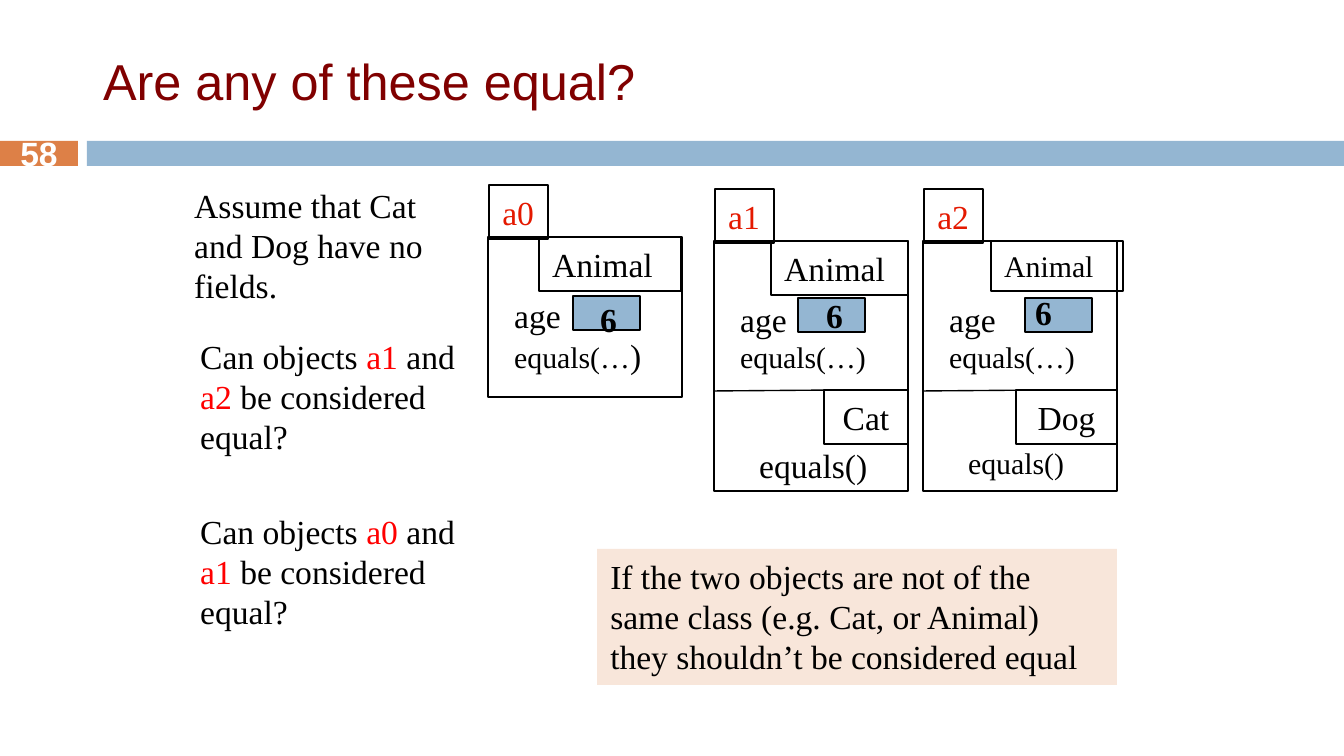
from dataclasses import dataclass

from lxml.etree import SubElement
from pptx import Presentation
from pptx.dml.color import RGBColor
from pptx.enum.shapes import MSO_CONNECTOR as Line, MSO_SHAPE as Shape
from pptx.enum.text import MSO_ANCHOR as Anchor, MSO_AUTO_SIZE as Fit, PP_ALIGN as Align
from pptx.oxml.ns import qn
from pptx.util import Pt

EMU_PER_PX = 914400 / 134.4
WIDTH, HEIGHT = 1344, 756


@dataclass(frozen=True)
class Theme:
    heading: str = "Arial"
    body: str = "Times New Roman"
    title: str = "800000"
    ink: str = "000000"
    paper: str = "FFFFFF"
    variable: str = "E41900"
    highlight: str = "FF0000"
    orange: str = "DD8047"
    blue: str = "94B6D2"
    peach: str = "F8E6DA"
    title_size: int = 27
    text_size: int = 18
    small_size: int = 16
    line: float = 0.75


T = Theme()

TITLE = "Are any of these equal?"
PAGE = "58"
ASSUMPTION = "Assume that Cat and Dog have no fields."
QUESTIONS = [  # left, top, compared variables
    (187, 329, ("a1", "a2")),
    (187, 504, ("a0", "a1")),
]
ANSWER = ("If the two objects are not of the same class (e.g. Cat, or Animal) "
          "they shouldn’t be considered equal")

# at: frame corner; class_box: width, height; field: age box offset;
# value: offset of the 6; subclass: name, width, size of its method
OBJECTS = [
    dict(name="a2", at=(923, 241), height=250, class_box=(132, 50), class_left=68,
         class_size=T.small_size, field=(102, 57), value=(99, 44), close_size=T.small_size,
         subclass=("Dog", 101, T.small_size)),
    dict(name="a1", at=(714, 241), height=250, class_box=(137, 54), class_left=57,
         class_size=T.text_size, field=(84, 57), value=(99, 47), close_size=T.small_size,
         subclass=("Cat", 84, T.text_size)),
    dict(name="a0", at=(488, 237), height=160, class_box=(142, 54), class_left=51,
         class_size=T.text_size, field=(85, 59), value=(99, 55), close_size=T.text_size,
         subclass=None),
]
FRAME_WIDTH = 194
SUBCLASS_TOP = 149


def px(*lengths):
    return [round(length * EMU_PER_PX) for length in lengths]


def rgb(color):
    return RGBColor.from_string(color)


def run(text, color=T.ink, size=T.text_size, font=T.body, bold=False):
    return text, color, size, font, bold


def write(frame, *paragraphs, align=Align.LEFT, anchor=Anchor.TOP, fit=Fit.SHAPE_TO_FIT_TEXT):
    """Fill a text frame; each paragraph is a list of runs."""
    frame.word_wrap = True
    frame.auto_size = fit
    frame.vertical_anchor = anchor
    for index, runs in enumerate(paragraphs):
        paragraph = frame.add_paragraph() if index else frame.paragraphs[0]
        paragraph.alignment = align
        for text, color, size, font, bold in runs:
            piece = paragraph.add_run()
            piece.text = text
            piece.font.name, piece.font.size, piece.font.bold = font, Pt(size), bold
            piece.font.color.rgb = rgb(color)


def add_box(shapes, left, top, width, height, fill=None, outlined=True):
    box = shapes.add_shape(Shape.RECTANGLE, *px(left, top, width, height))
    box.shadow.inherit = False
    if fill:
        box.fill.solid()
        box.fill.fore_color.rgb = rgb(fill)
    else:
        box.fill.background()
    if outlined:
        box.line.color.rgb = rgb(T.ink)
        box.line.width = Pt(T.line)
    else:
        box.line.fill.background()
    return box


def add_text(shapes, left, top, width, height, *paragraphs, **layout):
    box = shapes.add_textbox(*px(left, top, width, height))
    write(box.text_frame, *paragraphs, **layout)


def add_divider(shapes, left, top):
    divider = shapes.add_connector(Line.STRAIGHT, *px(left, top + 1, left + 126, top))
    divider.line.color.rgb = rgb(T.ink)
    divider.line.width = Pt(T.line)
    SubElement(divider.line._get_or_add_ln().getparent(), qn("a:effectLst"))


def add_object(slide, item):
    """Draw one object: variable tag, Animal part and optional subclass part."""
    shapes = slide.shapes.add_group_shape().shapes
    left, top = item["at"]
    add_box(shapes, left, top, FRAME_WIDTH, item["height"])

    tag = add_box(shapes, left + 1, top - 52, 59, 54)
    write(tag.text_frame, [run(item["name"], T.variable)])
    animal = add_box(shapes, left + item["class_left"], top, *item["class_box"])
    write(animal.text_frame, [run("Animal", size=item["class_size"])])

    if item["subclass"]:
        name, width, method_size = item["subclass"]
        subclass = add_box(shapes, left + FRAME_WIDTH - width, top + SUBCLASS_TOP, width, 54)
        write(subclass.text_frame, [run(name)], align=Align.CENTER)
        add_divider(shapes, left, top + SUBCLASS_TOP)
        add_text(shapes, left + 32, top + 197, 156, 50, [run("equals()", size=method_size)])

    add_text(shapes, left + 13, top + 51, 168, 90, [run("age")],
             [run("equals(…", size=T.small_size), run(")", size=item["close_size"])])
    field_x, field_y = item["field"]
    add_box(shapes, left + field_x, top + field_y, 67, 34, T.blue)
    value_x, value_y = item["value"]
    add_text(shapes, left + value_x, top + value_y, 34, 54, [run("6", bold=True)])


def main():
    deck = Presentation()
    deck.slide_width, deck.slide_height = px(WIDTH, HEIGHT)
    slide = deck.slides.add_slide(deck.slide_layouts[5])
    shapes = slide.shapes

    title = shapes.title
    title.left, title.top, title.width, title.height = px(90, 26, 1199, 109)
    heading = title.text_frame
    heading.margin_left, heading.margin_top, heading.margin_right, heading.margin_bottom = px(
        13, 13, 13, 13)
    write(heading, [run(TITLE, T.title, T.title_size, T.heading)],
          anchor=Anchor.MIDDLE, fit=Fit.NONE)

    add_box(shapes, 0, 141, 78, 25, T.orange, outlined=False)
    add_box(shapes, 87, 141, WIDTH - 87, 25, T.blue, outlined=False)
    add_text(shapes, 0, 140, 78, 27, [run(PAGE, T.paper, font=T.heading, bold=True)],
             align=Align.CENTER, anchor=Anchor.MIDDLE, fit=Fit.NONE)

    for item in OBJECTS:
        add_object(slide, item)

    add_text(shapes, 181, 178, 286, 136, [run(ASSUMPTION)])
    for left, top, (first, second) in QUESTIONS:
        add_text(shapes, left, top, 286, 136, [
            run("Can objects "), run(first, T.highlight), run(" and "),
            run(second, T.highlight), run(" be considered equal?")])
    answer = add_box(shapes, 597, 549, 520, 136, T.peach, outlined=False)
    write(answer.text_frame, [run(ANSWER)])

    deck.save("out.pptx")


if __name__ == "__main__":
    main()
